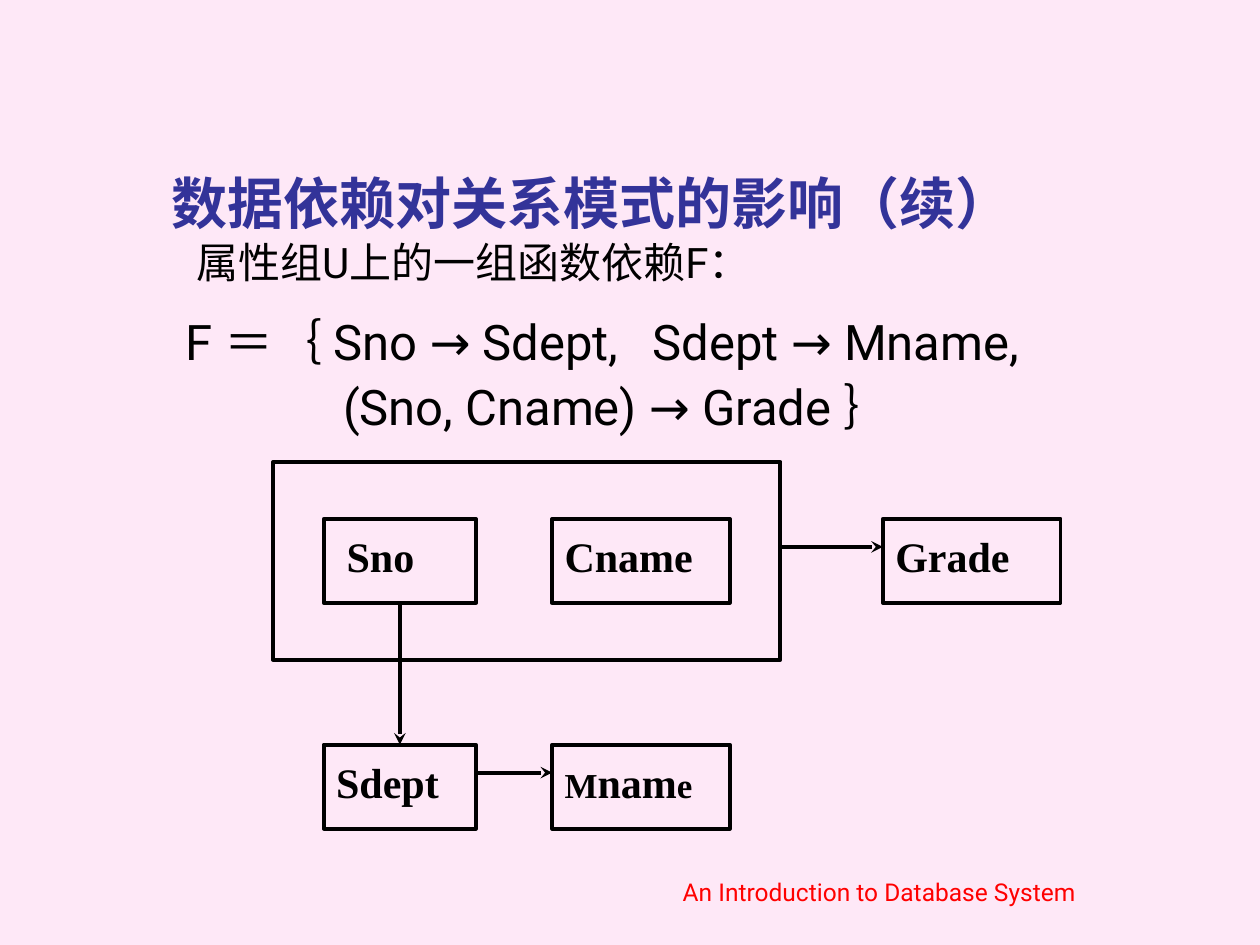
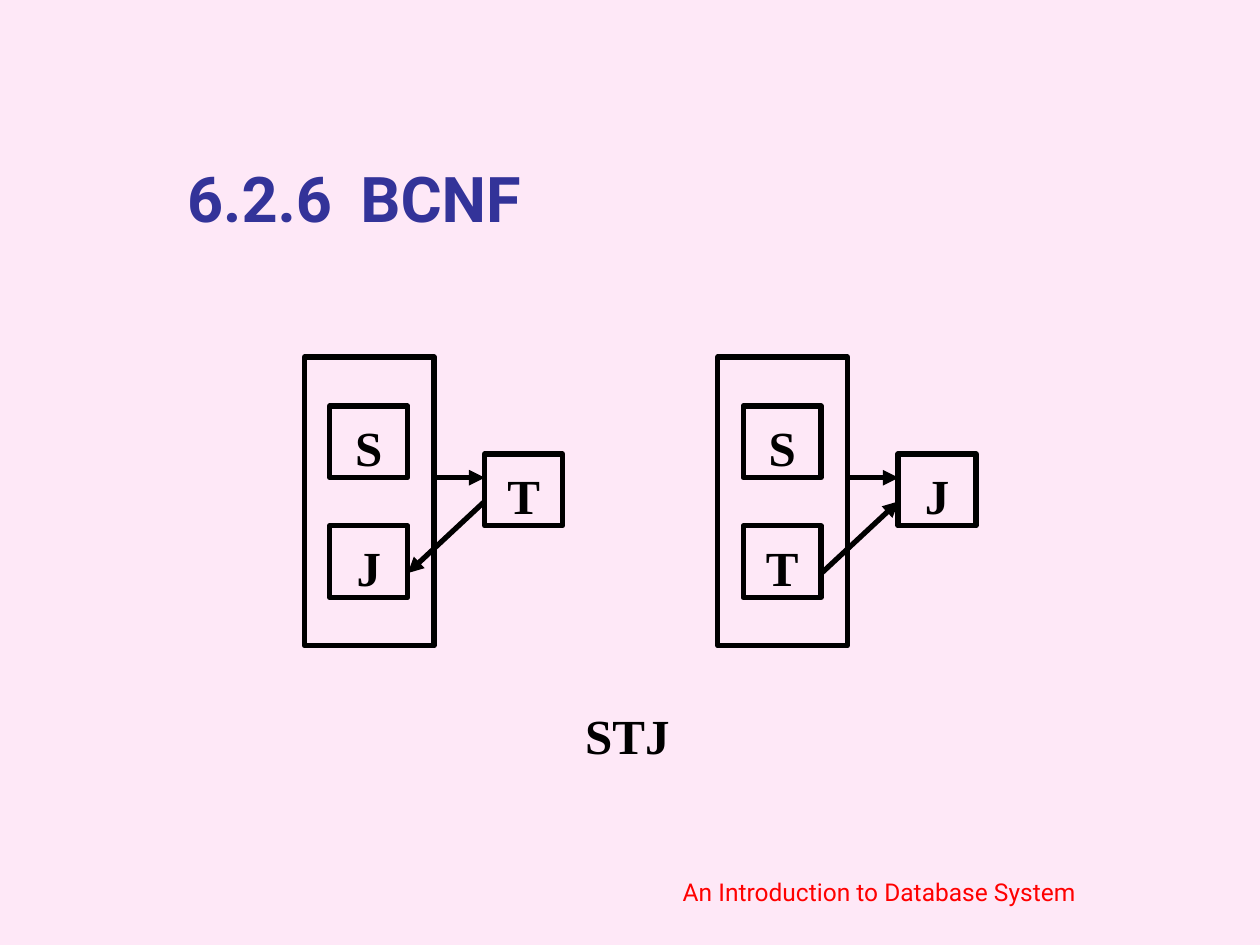
from pptx import Presentation
from pptx.dml.color import RGBColor as Rgb
from pptx.enum.shapes import MSO_CONNECTOR as Conn, MSO_SHAPE as Form
from pptx.enum.text import MSO_ANCHOR as Anchor, MSO_AUTO_SIZE as Fit, PP_ALIGN as Align
from pptx.oxml.ns import qn
from pptx.util import Pt
from lxml.etree import SubElement as Sub

HUES = {"page": "FEE8F7", "title": "333399", "foot": "FF0000", "ink": "000000"}
SANS, SERIF = "Roboto", "Times New Roman"


def write(shape, text, size, font=SERIF, hue="ink", bold=False, align=Align.LEFT,
          anchor=Anchor.TOP, top=3.6, left=0, first=0, before=0, lead=1.0, tab=None):
    """Add a paragraph; text is a string or a list of (text, size) runs."""
    frame = shape.text_frame
    frame.auto_size, frame.word_wrap = Fit.NONE, True
    frame.vertical_anchor, frame.margin_top = anchor, Pt(top)
    para = frame.add_paragraph() if frame.text else frame.paragraphs[0]
    para.alignment, para.line_spacing = align, lead
    para.space_before = Pt(before)
    props = para._p.get_or_add_pPr()
    props.set("marL", str(Pt(left)))
    props.set("indent", str(Pt(first)))
    Sub(props, qn("a:buNone"))
    if tab:
        Sub(Sub(props, qn("a:tabLst")), qn("a:tab"), pos=str(Pt(tab)), algn="l")
    for part, points in [(text, size)] if isinstance(text, str) else text:
        run = para.add_run()
        run.text = part
        run.font.name, run.font.size, run.font.bold = font, Pt(points), bold
        run.font.color.rgb = Rgb.from_string(HUES[hue])


def arrow(slide, start, end, width, head):
    line = slide.shapes.add_connector(Conn.STRAIGHT, *map(Pt, start + end))
    line.line.color.rgb = Rgb.from_string(HUES["ink"])
    line.line.width = Pt(width)
    Sub(line.line._get_or_add_ln(), qn("a:tailEnd"), type=head)
    Sub(line._element.spPr, qn("a:effectLst"))


deck = Presentation()
deck.slide_width, deck.slide_height = Pt(720), Pt(540)
fill = deck.slide_master.background.fill
fill.solid()
fill.fore_color.rgb = Rgb.from_string(HUES["page"])

# Titles and footers
slides = []
for layout, text, size, first, tab in [
    (1, "数据依赖对关系模式的影响（续）", 32, 0, None),
    (5, "6.2.6\tBCNF", 36, 9, 108.5),
]:
    slide = deck.slides.add_slide(deck.slide_layouts[layout])
    title = slide.shapes.title
    title.left, title.top, title.width, title.height = map(Pt, (90.7, 48.2, 613.4, 90))
    write(title, text, size, font=SANS, hue="title", bold=True,
          anchor=Anchor.BOTTOM, first=first, tab=tab)
    foot = slide.shapes.add_textbox(*map(Pt, (314.6, 485.3, 375.8, 36)))
    write(foot, "An Introduction to Database System", 14, font=SANS, hue="foot",
          align=Align.CENTER, anchor=Anchor.BOTTOM)
    slides.append(slide)
deps, bcnf = slides

# Functional dependencies of U
body = deps.placeholders[1]
body.left, body.top, body.width, body.height = map(Pt, (77.8, 131.8, 612, 324))
write(body, "属性组U上的一组函数依赖F：", 24, font=SANS, left=27)
write(body, "F ＝｛ Sno → Sdept,\tSdept → Mname,", 28, font=SANS,
      first=21, before=7, lead=1.2, tab=297)
write(body, "(Sno, Cname) → Grade ｝", 28, font=SANS, first=111, before=3.5)

# Boxes: slide, left, top, width, height, line width, text, format
upper, lower = 296.5, 425.5
name = dict(size=24)
boxes = [
    (deps, 156, 264, 290, 113, 2.25, None, name),
    (deps, 185, upper, 87, 48, 2.25, "Sno", dict(size=24, first=6)),
    (deps, 315.5, upper, 101.5, 48, 2.25, "Cname", name),
    (deps, 504.5, upper, 101.5, 48, 2.25, "Grade", name),
    (deps, 185, lower, 87, 48, 2.25, "Sdept", name),
    (deps, 315.5, lower, 101.5, 48, 2.25, [("M", 20), ("nam", 24), ("e", 20)], name),
]
letter = dict(size=28, align=Align.CENTER)
for shift, (one, two, goal) in [(0, "SJT"), (236.2, "STJ")]:
    boxes.append((bcnf, 174 + shift, 204, 74, 165, 3, None, letter))
    for x, y, text in [(188.5, 232, one), (188.5, 300.5, two), (277, 259.5, goal)]:
        boxes.append((bcnf, x + shift, y, 44.5, 41, 3, text, letter))

for slide, x, y, w, h, width, text, form in boxes:
    box = slide.shapes.add_shape(Form.RECTANGLE, Pt(x), Pt(y), Pt(w), Pt(h))
    box.shadow.inherit = False
    box.fill.background()
    box.line.color.rgb = Rgb.from_string(HUES["ink"])
    box.line.width = Pt(width)
    if text:
        write(box, text, bold=True, top=6.5, **form)

# Arrows
for start, end in [((228.5, 345), (228.5, 425.5)), ((272, 441.5), (315.5, 441.5)),
                   ((446, 312.5), (504.5, 312.5))]:
    arrow(deps, start, end, 2.25, "stealth")
for start, end in [((248, 273), (277, 273)), ((277, 286.5), (233, 327.5)),
                   ((484, 273), (513.5, 273)), ((469.5, 327.5), (513.5, 286.5))]:
    arrow(bcnf, start, end, 3, "triangle")

label = bcnf.shapes.add_textbox(*map(Pt, (321.8, 396.7, 73.4, 41)))
write(label, "STJ", bold=True, top=6.5, **letter)

deck.save("out.pptx")
